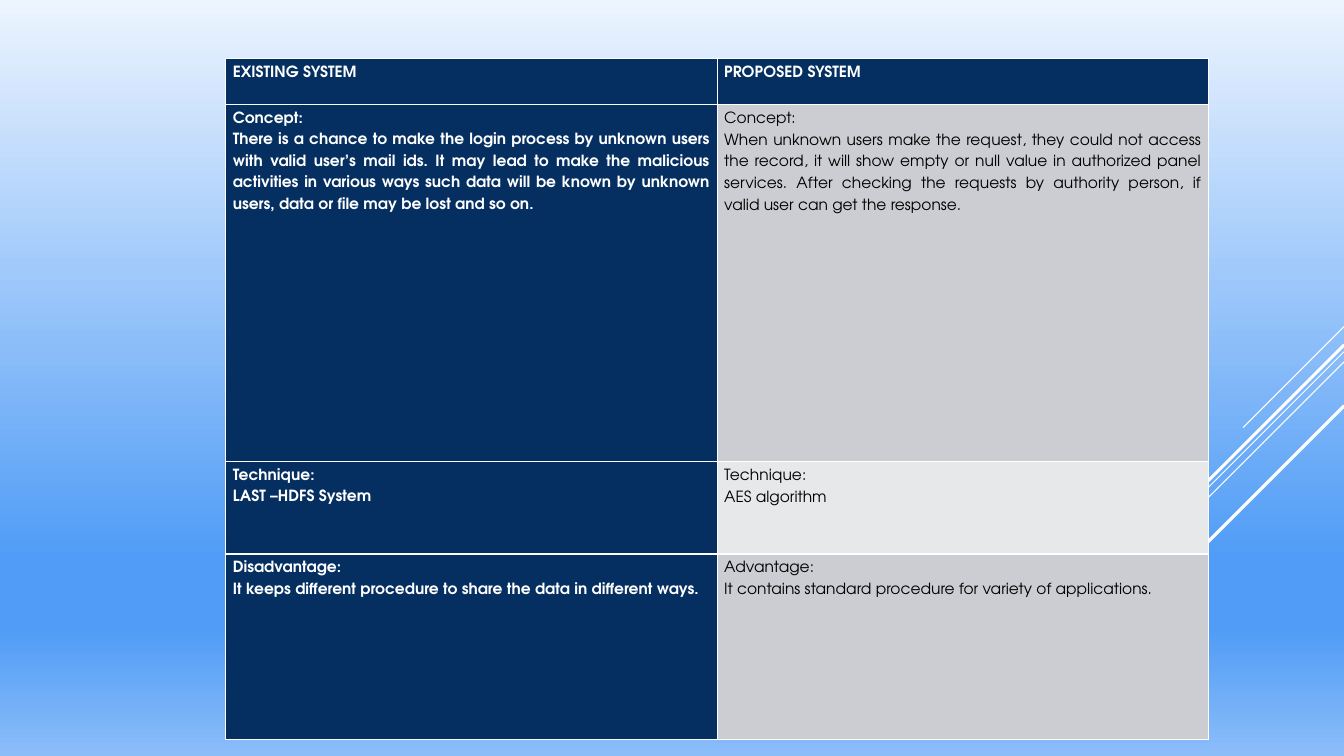
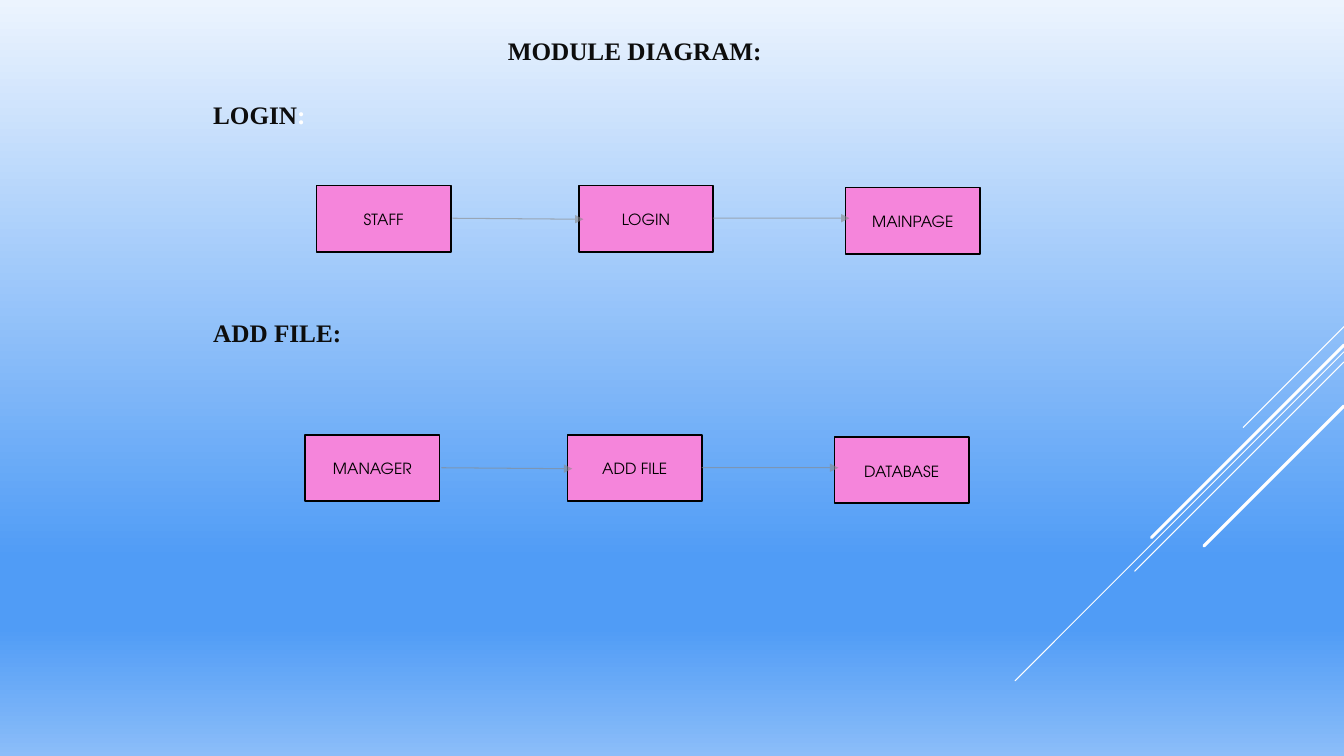
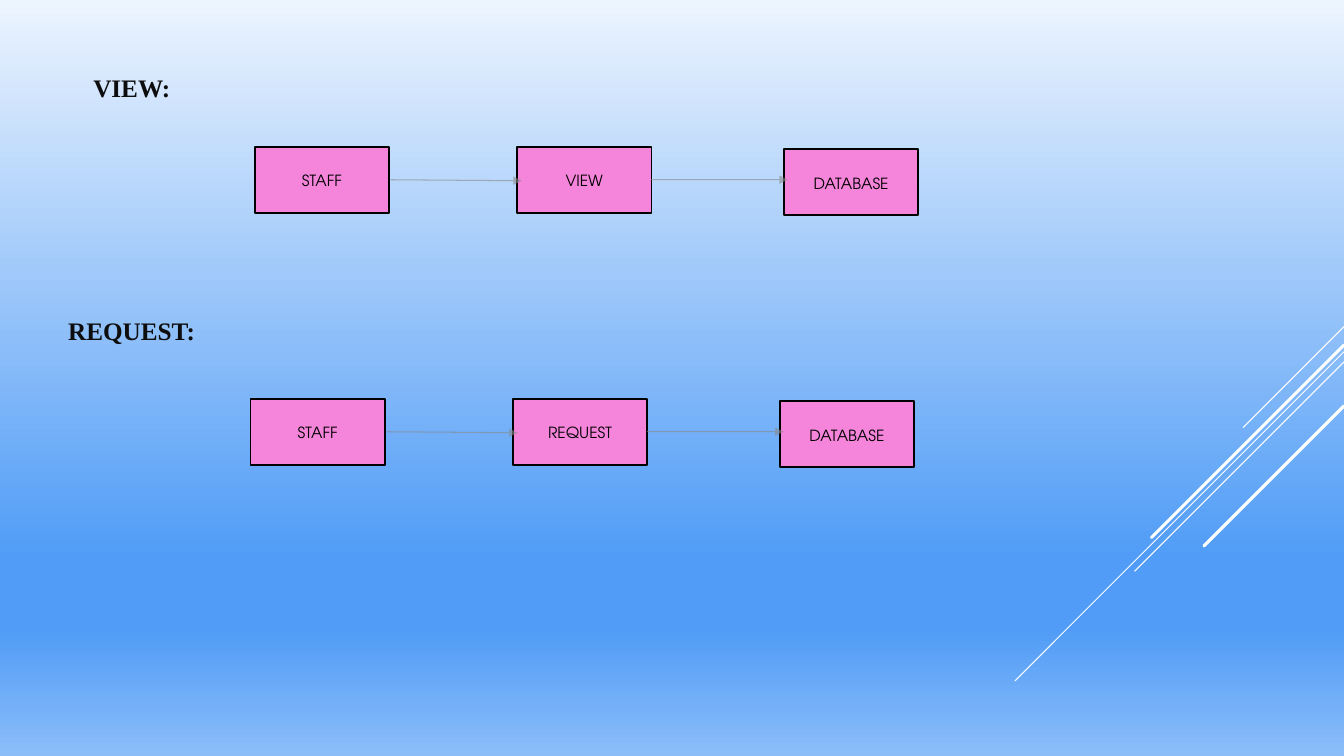
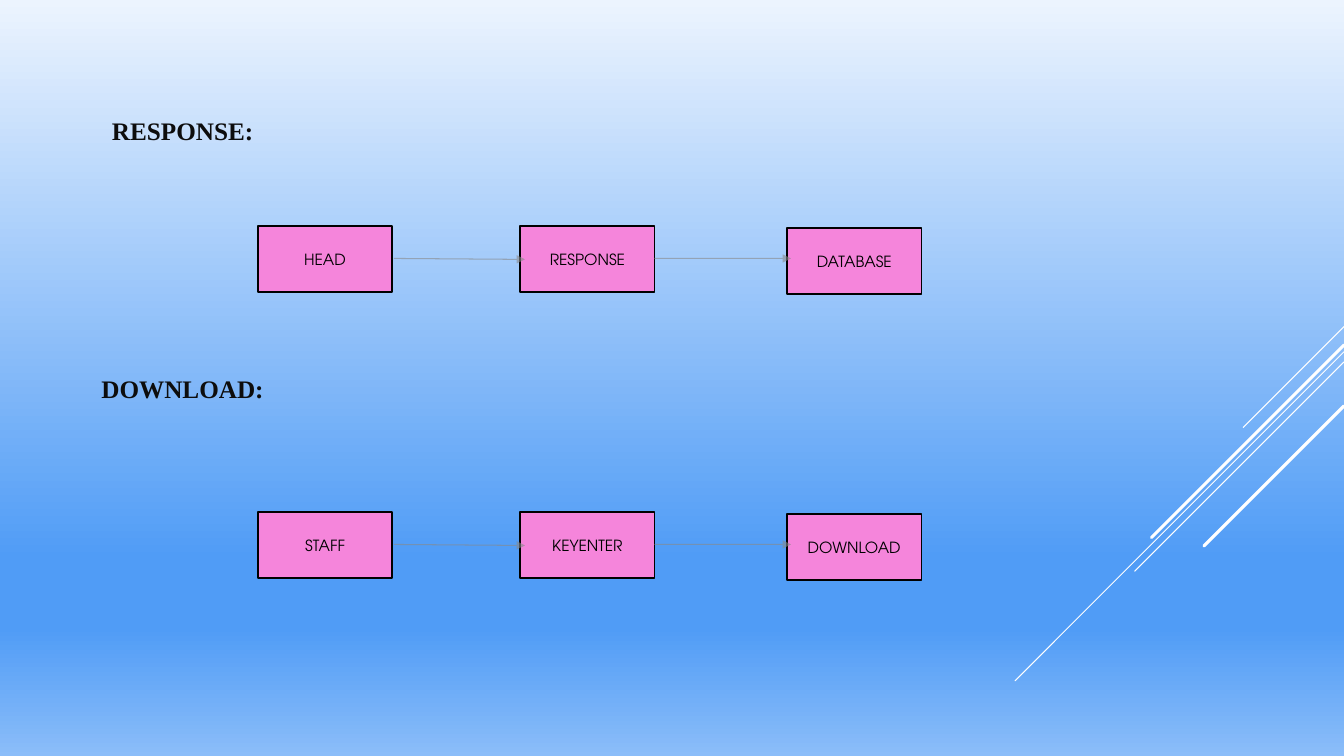
from lxml import etree
from pptx import Presentation
from pptx.dml.color import RGBColor
from pptx.enum import shapes, text
from pptx.oxml.ns import qn
from pptx.util import Pt

WHITE = RGBColor(0xFF, 0xFF, 0xFF)
BLACK = RGBColor(0x00, 0x00, 0x00)
INK = RGBColor(0x0D, 0x0D, 0x0D)
NAVY = RGBColor(0x05, 0x2F, 0x61)
GREY = RGBColor(0xCC, 0xCD, 0xD2)
PALE = RGBColor(0xE7, 0xE8, 0xEA)
PINK = RGBColor(0xF5, 0x85, 0xDB)
ARROW = RGBColor(0x89, 0x89, 0x89)
SKY_TOP = RGBColor(0xEC, 0xF4, 0xFE)
SKY = RGBColor(0x50, 0x9C, 0xF6)
SKY_LOW = RGBColor(0x8B, 0xBD, 0xF9)

LEFT, CENTER, JUSTIFY = text.PP_ALIGN.LEFT, text.PP_ALIGN.CENTER, text.PP_ALIGN.JUSTIFY
HEADING_FONT = {"name": "Times New Roman", "size": Pt(18), "bold": True}
LABEL_FONT = {"name": "TeX Gyre Adventor", "size": Pt(11), "bold": False}
HEADING_FRAME = {
    "word_wrap": False,
    "auto_size": text.MSO_AUTO_SIZE.SHAPE_TO_FIT_TEXT,
    "vertical_anchor": text.MSO_ANCHOR.TOP,
}
CELL_MARGINS = {
    "margin_left": Pt(5), "margin_right": Pt(5),
    "margin_top": Pt(0), "margin_bottom": Pt(0),
}


def apply_format(target, values, color=None):
    for name, value in values.items():
        setattr(target, name, value)
    if color is not None:
        target.color.rgb = color


def add_line(page, start, end, color, width):
    ends = [Pt(value) for value in (*start, *end)]
    line = page.shapes.add_connector(shapes.MSO_CONNECTOR.STRAIGHT, *ends)
    apply_format(line.line, {"width": Pt(width)}, color)
    etree.SubElement(line.element.spPr, qn("a:effectLst"))
    return line


deck = Presentation()
apply_format(deck, {"slide_width": Pt(960), "slide_height": Pt(540)})
title_only, blank = deck.slide_layouts[5], deck.slide_layouts[6]

master = deck.slide_master
backdrop = master.background.fill
backdrop.gradient()
backdrop.gradient_angle = 270
stops = master.element.find(".//" + qn("a:gsLst"))
for stop in list(stops):
    stops.remove(stop)
for place, color in ((0, SKY_TOP), (74, SKY), (83, SKY), (100, SKY_LOW)):
    stop = etree.SubElement(stops, qn("a:gs"), pos=str(place * 1000))
    etree.SubElement(stop, qn("a:srgbClr"), val=str(color))

page = deck.slides.add_slide(blank)
for top, run, width in (
    (233.3, 72, 0.75), (251.3, 235, 0.75), (258.5, 149.5, 0.75),
    (246.5, 137.5, 2.25), (290, 100, 2.25),
):
    stripe = add_line(page, (960, top), (960 - run, top + run), WHITE, width)
    stripe.element.spPr.find(qn("a:ln")).set("cap", "rnd")
    master.shapes.element.append(stripe.element)

comparison = [
    (33, LEFT, NAVY, ["EXISTING SYSTEM"], ["PROPOSED SYSTEM"]),
    (255, JUSTIFY, GREY,
     ["Concept:",
      "There is a chance to make the login process by unknown users with valid "
      "user’s mail ids. It may lead to make the malicious activities in various ways "
      "such data will be known by unknown users, data or file may be lost and so on."],
     ["Concept:",
      "When unknown users make the request, they could not access the record, it will "
      "show empty or null value in authorized panel services. After checking the "
      "requests by authority person, if valid user can get the response."]),
    (66, LEFT, PALE, ["Technique:", "LAST –HDFS System"], ["Technique:", "AES algorithm"]),
    (132.5, LEFT, GREY,
     ["Disadvantage:", "It keeps different procedure to share the data in different ways."],
     ["Advantage:", "It contains standard procedure for variety of applications."]),
]
table = page.shapes.add_table(
    len(comparison), 2, Pt(161.3), Pt(41.8), Pt(702), Pt(486.5)).table
apply_format(table, {"first_col": True, "horz_banding": True})
for column in table.columns:
    column.width = Pt(351)
for row, (height, align, right_fill, *entries) in enumerate(comparison):
    table.rows[row].height = Pt(height)
    for col, lines in enumerate(entries):
        cell = table.cell(row, col)
        apply_format(cell, CELL_MARGINS)
        strong = row == 0 or col == 0
        cell.fill.solid()
        cell.fill.fore_color.rgb = NAVY if strong else right_fill
        cell.text_frame.text = "\n".join(lines)
        for para in cell.text_frame.paragraphs:
            apply_format(para, {"alignment": align, "line_spacing": 1.5})
            apply_format(para.runs[0].font, LABEL_FONT | {"bold": strong},
                         WHITE if strong else BLACK)

diagrams = [
    {"headings": [("MODULE DIAGRAM", INK, 355.5, 21.6, 202, 1.0),
                  ("LOGIN", WHITE, 145.2, 64, 81, 1.15),
                  ("ADD FILE", INK, 145.2, 221.8, 107, 1.07)],
     "flows": [(226, 132.5, ("STAFF", "LOGIN", "MAINPAGE")),
               (218, 310.7, ("MANAGER", "ADD FILE", "DATABASE"))]},
    {"headings": [("VIEW", INK, 59.4, 46.8, 70, 1.07),
                  ("REQUEST", INK, 41.6, 220.3, 106, 1.07)],
     "flows": [(181.9, 105, ("STAFF", "VIEW", "DATABASE")),
               (178.9, 285, ("STAFF", "REQUEST", "DATABASE"))]},
    {"headings": [("RESPONSE", INK, 72.8, 77.4, 117, 1.07),
                  ("DOWNLOAD", INK, 65.3, 261.5, 132, 1.07)],
     "flows": [(184.2, 161.2, ("HEAD", "RESPONSE", "DATABASE")),
               (184.2, 365.5, ("STAFF", "KEYENTER", "DOWNLOAD"))]},
]
BOX_OFFSETS = ((0, 0), (187.4, 0), (378, 1.5))
ARROW_OFFSETS = (((97.2, 23.4), (190.8, 24.1)), ((283.2, 23.4), (380.8, 23.4)))

for diagram in diagrams:
    page = deck.slides.add_slide(title_only)
    for order, (words, colon, left, top, width, spacing) in enumerate(diagram["headings"]):
        place = {"left": Pt(left), "top": Pt(top), "width": Pt(width), "height": Pt(30)}
        heading = page.shapes.title if order == 0 else page.shapes.add_textbox(*place.values())
        apply_format(heading, place)
        apply_format(heading.text_frame, HEADING_FRAME)
        para = heading.text_frame.paragraphs[0]
        apply_format(para, {"alignment": LEFT, "line_spacing": spacing, "space_after": Pt(8)})
        for part, color in ((words, INK), (":", colon)):
            span = para.add_run()
            span.text = part
            apply_format(span.font, HEADING_FONT, color)

    for left, top, labels in diagram["flows"]:
        for label, (across, down) in zip(labels, BOX_OFFSETS):
            box = page.shapes.add_shape(
                shapes.MSO_SHAPE.RECTANGLE, Pt(left + across), Pt(top + down), Pt(96), Pt(47.3))
            box.shadow.inherit = False
            box.fill.solid()
            box.fill.fore_color.rgb = PINK
            apply_format(box.line, {"width": Pt(1.25)}, BLACK)
            box.text_frame.vertical_anchor = text.MSO_ANCHOR.MIDDLE
            para = box.text_frame.paragraphs[0]
            apply_format(para, {"alignment": CENTER, "line_spacing": 1.07, "space_after": Pt(8)})
            span = para.add_run()
            span.text = label
            apply_format(span.font, LABEL_FONT, BLACK)
        for start, end in ARROW_OFFSETS:
            arrow = add_line(page, (left + start[0], top + start[1]),
                             (left + end[0], top + end[1]), ARROW, 0.75)
            stroke = arrow.element.spPr.find(qn("a:ln"))
            etree.SubElement(stroke.find(".//" + qn("a:srgbClr")), qn("a:alpha"), val="60000")
            etree.SubElement(stroke, qn("a:tailEnd"), type="triangle")

deck.save("out.pptx")
